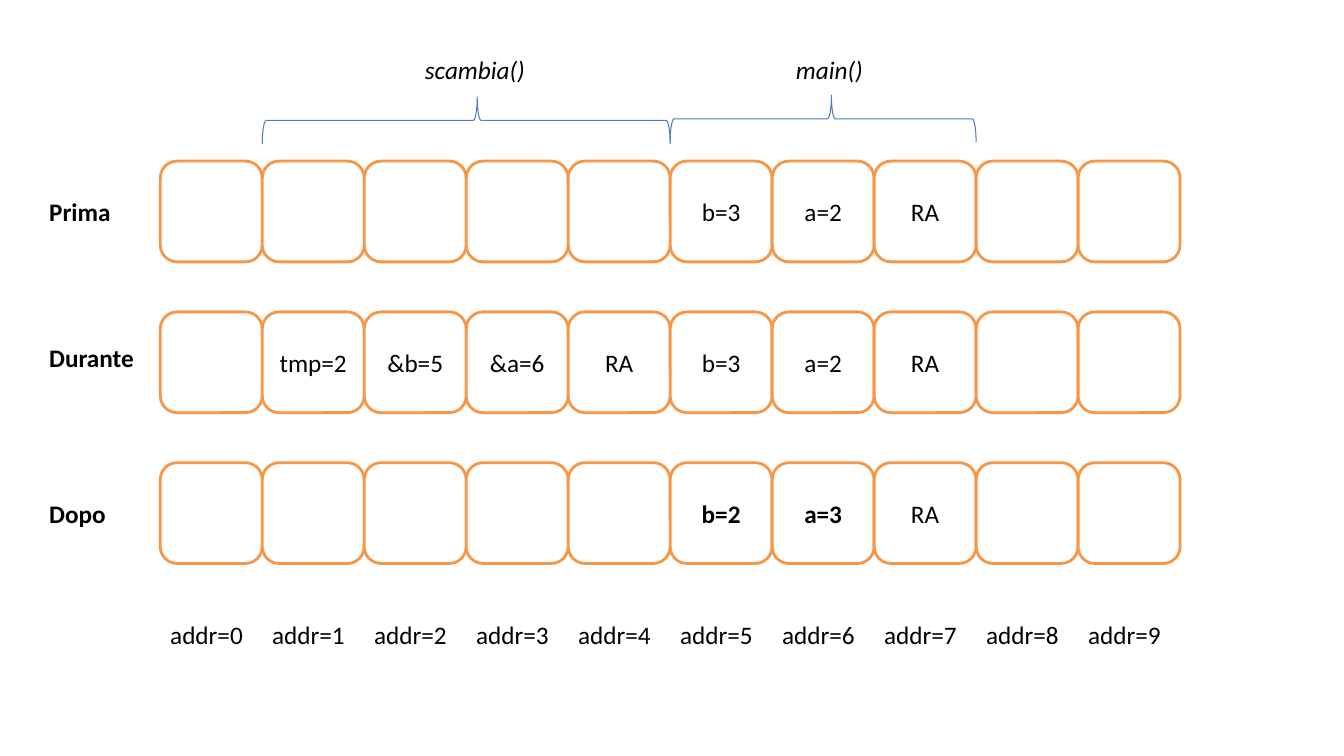
import pptx
import pptx.util
import pptx.dml.color
import pptx.enum.shapes
import pptx.enum.text

Cm = pptx.util.Cm
Pt = pptx.util.Pt
SHAPE = pptx.enum.shapes.MSO_SHAPE
CELL_W, CELL_H, ROW_PITCH = 2.57, 2.54, 3.8
GRID_LEFT, GRID_TOP = 4.04, 4.06
LABEL_H = 1.02

ROWS = [
    ("Prima", 2.08, 0.77, {5: "b=3", 6: "a=2", 7: "RA"}, ()),
    ("Durante", 2.67, 0.64, {1: "tmp=2", 2: "&b=5", 3: "&a=6", 4: "RA",
                             5: "b=3", 6: "a=2", 7: "RA"}, ()),
    ("Dopo", 1.96, 0.76, {5: "b=2", 6: "a=3", 7: "RA"}, (5, 6)),
]
FRAMES = [
    ("scambia()", 1, 4, 2.44, 3.85, 3.02),
    ("main()", 5, 3, 2.4, 2.92, 2.21),
]


def rgb(value):
    return pptx.dml.color.RGBColor.from_string(value)


def write(tf, text, bold=False, italic=False):
    tf.text = text
    for r in tf.paragraphs[0].runs:
        r.font.name = "Calibri"
        r.font.size = Pt(18)
        r.font.bold = bold
        r.font.italic = italic
        r.font.color.rgb = rgb("000000")


def add_label(s, left, top, width, text, bold=False, italic=False):
    tf = s.shapes.add_textbox(Cm(left), Cm(top), Cm(width), Cm(LABEL_H)).text_frame
    tf.word_wrap = False
    tf.auto_size = pptx.enum.text.MSO_AUTO_SIZE.SHAPE_TO_FIT_TEXT
    write(tf, text, bold, italic)


def add_cell(s, left, top, text, bold):
    sp = s.shapes.add_shape(SHAPE.ROUNDED_RECTANGLE, Cm(left), Cm(top), Cm(CELL_W), Cm(CELL_H))
    sp.shadow.inherit = False
    sp.fill.solid()
    sp.fill.fore_color.rgb = rgb("FFFFFF")
    sp.line.color.rgb = rgb("F79646")
    sp.line.width = Pt(2)
    if text:
        tf = sp.text_frame
        tf.vertical_anchor = pptx.enum.text.MSO_ANCHOR.MIDDLE
        write(tf, text, bold)
        tf.paragraphs[0].alignment = pptx.enum.text.PP_ALIGN.CENTER


def add_memory_row(s, left, top, label, label_width, label_drop, values, changed):
    add_label(s, left - 3.05, top + label_drop, label_width, label, bold=True)
    for i in range(10):
        add_cell(s, left + i * CELL_W, top, values.get(i), i in changed)


def add_stack_frame(s, left, top, span, name, name_indent, name_width):
    depth = 1.19
    sp = s.shapes.add_shape(SHAPE.RIGHT_BRACE, Cm(left + (span - depth) / 2),
                            Cm(top + (depth - span) / 2), Cm(depth), Cm(span))
    sp.rotation = 270
    sp.adjustments[0] = 0.083
    sp.adjustments[1] = 0.527
    sp.shadow.inherit = False
    sp.fill.background()
    sp.line.color.rgb = rgb("4B7EBC")
    sp.line.width = Pt(0.75)
    add_label(s, left + name_indent, 1.24, name_width, name, italic=True)


def add_addresses(s, left, top):
    for i in range(10):
        add_label(s, left + i * CELL_W, top, 2.36, f"addr={i}")


def main():
    prs = pptx.Presentation()
    prs.slide_width, prs.slide_height = Cm(33.87), Cm(19.05)
    s = prs.slides.add_slide(prs.slide_layouts[6])
    for i, row in enumerate(ROWS):
        add_memory_row(s, GRID_LEFT, GRID_TOP + i * ROW_PITCH, *row)
    for name, first, count, top, indent, width in FRAMES:
        add_stack_frame(s, GRID_LEFT + first * CELL_W, top, count * CELL_W, name, indent, width)
    add_addresses(s, GRID_LEFT, 15.47)
    prs.save("out.pptx")


if __name__ == "__main__":
    main()
